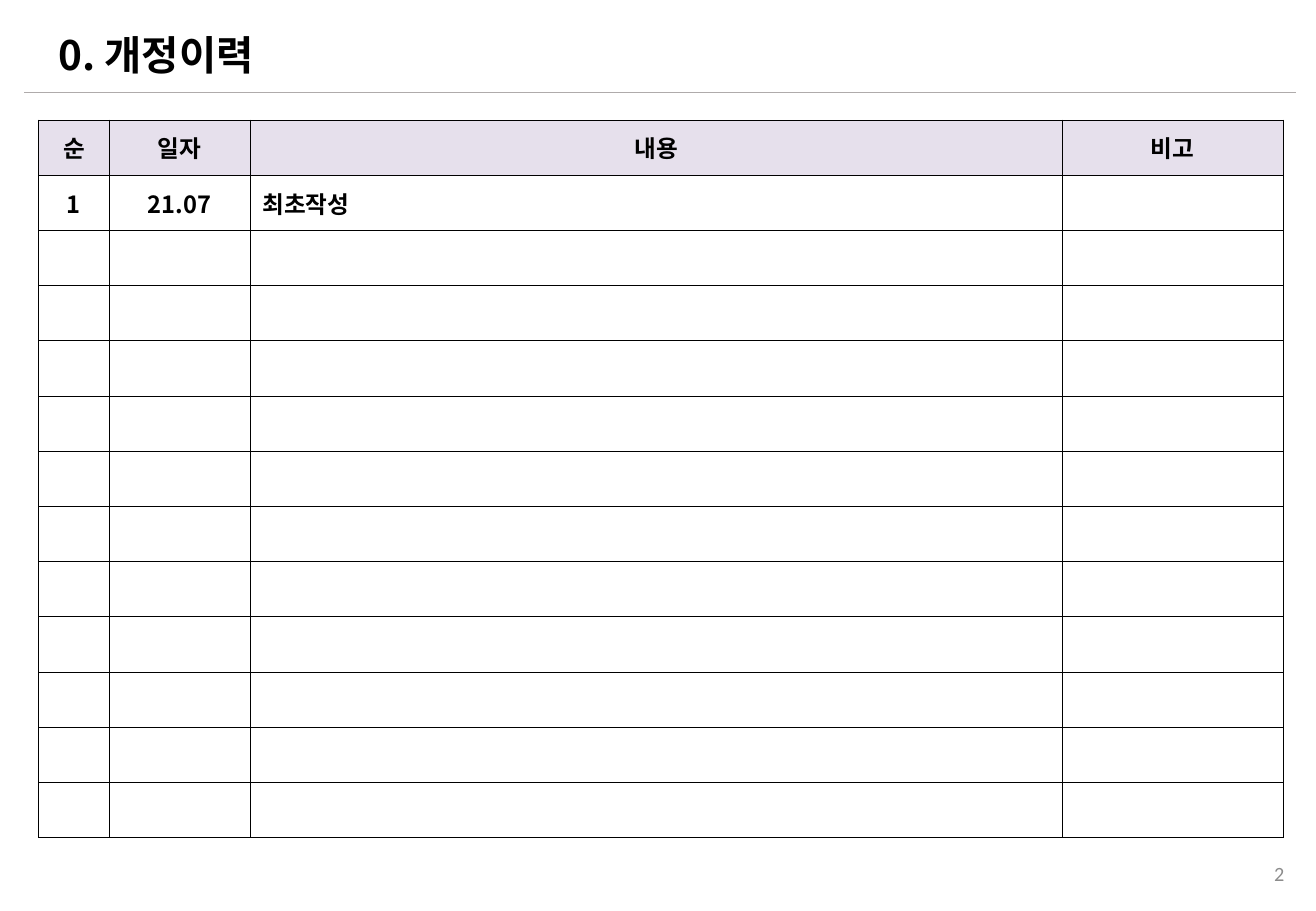
from lxml import etree
from pptx import Presentation, util as u
from pptx.dml.color import RGBColor
from pptx.enum import shapes, text
from pptx.oxml import ns

FONT = "Noto Sans CJK KR"
LEFT, MID, RIGHT = text.PP_ALIGN.LEFT, text.PP_ALIGN.CENTER, text.PP_ALIGN.RIGHT
ROWS = [["순", "일자", "내용", "비고"], ["1", "21.07", "최초작성", ""]]
COLS = [1.47, 2.95, 16.97, 4.62]
ALIGNS = [MID, MID, LEFT, MID]


def color(code):
    """Turn a hex string into a colour."""
    return RGBColor.from_string(code)


def write(frame, words, size, align=LEFT, face=FONT, tone="000000", bold=True):
    """Write one styled paragraph into a text frame."""
    frame.text = words
    para = frame.paragraphs[0]
    para.alignment = align
    for run in para.runs:
        font = run.font
        font.name, font.size, font.bold = face, u.Pt(size), bold
        font.color.rgb = color(tone)
        east = etree.SubElement(run._r.get_or_add_rPr(), ns.qn("a:ea"))
        east.set("typeface", face)
    return para


def label(slide, box, words, size, **style):
    """Place a vertically centred line of text in a box."""
    frame = slide.shapes.add_textbox(*map(u.Cm, box)).text_frame
    frame.word_wrap = True
    frame.vertical_anchor = text.MSO_ANCHOR.MIDDLE
    return write(frame, words, size, **style)


def header(slide, box):
    """Draw the title and the rule beneath it."""
    x, y, w, h = box
    title = label(slide, (x + 0.46, y, 23.72, h - 0.05), "0. 개정이력", 24)
    title.line_spacing = 0.9
    ends = (x, y + h + 0.05, x + w, y + h + 0.05)
    rule = slide.shapes.add_connector(shapes.MSO_CONNECTOR.STRAIGHT, *map(u.Cm, ends))
    rule.line.color.rgb = color("AFABAB")
    rule.line.width = u.Pt(0.5)
    etree.SubElement(rule._element.spPr, ns.qn("a:effectLst"))


def border(cell):
    """Give a cell thin black edges."""
    props = cell._tc.get_or_add_tcPr()
    for side in ("lnL", "lnR", "lnT", "lnB"):
        edge = etree.SubElement(props, ns.qn("a:" + side), w=str(u.Pt(0.5)))
        fill = etree.SubElement(edge, ns.qn("a:solidFill"))
        etree.SubElement(fill, ns.qn("a:srgbClr"), val="000000")


def history(slide, box, count):
    """Draw the revision table with a tinted heading row."""
    x, y, w, h = box
    grid = slide.shapes.add_table(count, len(COLS), *map(u.Cm, box)).table
    grid.first_row = grid.horz_banding = False
    for col, part in zip(grid.columns, COLS):
        col.width = u.Cm(w * part / sum(COLS))
    for i, row in enumerate(grid.rows):
        row.height = u.Cm(h / count)
        for j, cell in enumerate(row.cells):
            border(cell)
            cell.vertical_anchor = text.MSO_ANCHOR.MIDDLE
            if i == 0:
                cell.fill.solid()
                cell.fill.fore_color.rgb = color("E6E0EC")
            else:
                cell.fill.background()
            if i < len(ROWS):
                align = ALIGNS[j] if i else MID
                write(cell.text_frame, ROWS[i][j], 14, align)


def main():
    """Build the revision history slide."""
    deck = Presentation()
    deck.slide_width, deck.slide_height = u.Cm(27.51), u.Cm(19.05)
    slide = deck.slides.add_slide(deck.slide_layouts[6])
    header(slide, (0.51, 0.56, 26.59, 1.32))
    history(slide, (0.81, 2.51, 26.01, 15.01), 13)
    label(slide, (20.9, 17.75, 6.2, 1.02), "2", 12, align=RIGHT,
          face="Calibri", tone="8C8C8C", bold=False)
    deck.save("out.pptx")


if __name__ == "__main__":
    main()
